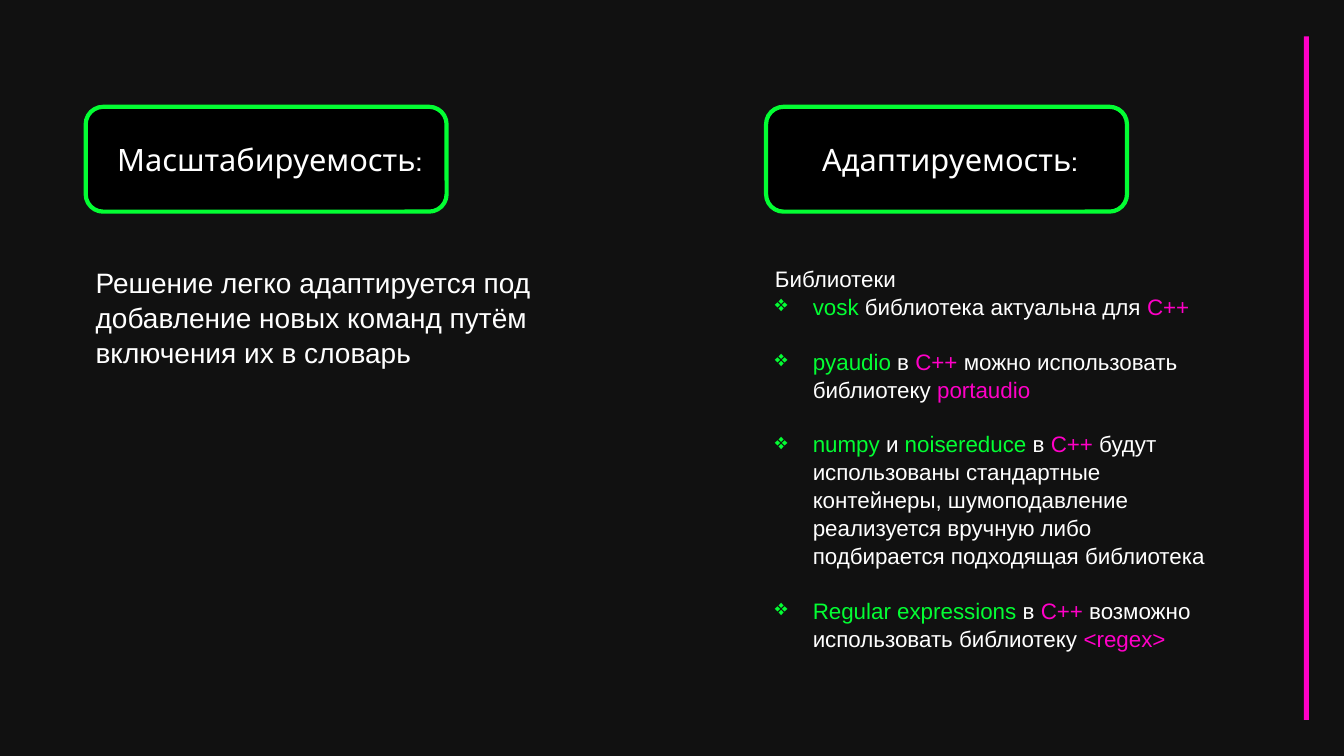
from lxml import etree
from pptx import Presentation
from pptx.dml.color import RGBColor
from pptx.enum.shapes import MSO_SHAPE
from pptx.enum.text import MSO_ANCHOR, PP_ALIGN
from pptx.oxml.ns import qn
from pptx.util import Pt

ROUNDED = MSO_SHAPE.ROUNDED_RECTANGLE
RECTANGLE = MSO_SHAPE.RECTANGLE
MIDDLE = MSO_ANCHOR.MIDDLE
CENTER = PP_ALIGN.CENTER

DARK, BLACK, WHITE = "111111", "000000", "FFFFFF"
GREEN, PINK = "03FE33", "FF00C7"
LINE_SPACING = 1.04
BULLET_INDENT = 27

LIBRARIES = [
    [("vosk ", GREEN), ("библиотека актуальна для ", WHITE), ("C++", PINK)],
    [("pyaudio", GREEN), (" в ", WHITE), ("C++ ", PINK),
     ("можно использовать библиотеку ", WHITE), ("portaudio", PINK)],
    [("numpy ", GREEN), ("и ", WHITE), ("noisereduce ", GREEN),
     ("в ", WHITE), ("C++ ", PINK),
     ("будут использованы стандартные контейнеры, шумоподавление "
      "реализуется вручную либо подбирается подходящая библиотека", WHITE)],
    [("Regular expressions ", GREEN), ("в ", WHITE), ("C++ ", PINK),
     ("возможно использовать библиотеку ", WHITE), ("<regex>", PINK)],
]


def paint(color_format, color):
    color_format.rgb = RGBColor.from_string(color)


def style_run(run, size, color=WHITE, font="Arial"):
    run.font.size = Pt(size)
    run.font.name = font
    paint(run.font.color, color)


def add_block(slide, preset, left, top, width, height, color):
    block = slide.shapes.add_shape(
        preset, Pt(left), Pt(top), Pt(width), Pt(height))
    block.shadow.inherit = False
    block.fill.solid()
    paint(block.fill.fore_color, color)
    return block


def add_heading(slide, left, text):
    heading = add_block(slide, ROUNDED, left, 76.3, 257.8, 74.9, BLACK)
    paint(heading.line.color, GREEN)
    heading.line.width = Pt(3)
    frame = heading.text_frame
    frame.vertical_anchor = MIDDLE
    frame.text = text
    frame.paragraphs[0].alignment = CENTER
    style_run(frame.paragraphs[0].runs[0], 22, font="Cabin")


def add_body(slide, left, width, height, text, size):
    body = slide.shapes.add_textbox(Pt(left), Pt(185), Pt(width), Pt(height))
    frame = body.text_frame
    frame.word_wrap = True
    frame.text = text
    frame.paragraphs[0].line_spacing = LINE_SPACING
    style_run(frame.paragraphs[0].runs[0], size)
    return frame


def add_bullet(frame, pieces, size, space_before):
    paragraph = frame.add_paragraph()
    paragraph.line_spacing = LINE_SPACING
    paragraph.space_before = Pt(space_before)
    for text, color in pieces:
        run = paragraph.add_run()
        run.text = text
        style_run(run, size, color)
    # Hanging diamond bullet in the colour of the first run
    properties = paragraph._p.get_or_add_pPr()
    properties.set("marL", str(Pt(BULLET_INDENT)))
    properties.set("indent", str(-Pt(BULLET_INDENT)))
    etree.SubElement(properties, qn("a:buChar")).set("char", "❖")


def main():
    deck = Presentation()
    deck.slide_width, deck.slide_height = Pt(960), Pt(540)
    slide = deck.slides.add_slide(deck.slide_layouts[6])
    slide.background.fill.solid()
    paint(slide.background.fill.fore_color, DARK)

    # Scalability
    add_heading(slide, 61.2, " Масштабируемость:")
    add_body(slide, 61.2, 350, 104.4,
             "Решение легко адаптируется под добавление новых команд "
             "путём включения их в словарь", 20)

    # Adaptability
    add_heading(slide, 547.2, " Адаптируемость:")
    libraries = add_body(slide, 546.5, 335.5, 298, "Библиотеки", 16)
    for index, pieces in enumerate(LIBRARIES):
        add_bullet(libraries, pieces, 16, 19.2 if index else 0)

    # Accent bar on the right edge
    accent = add_block(slide, RECTANGLE, 931.3, 26, 3.6, 488.2, PINK)
    accent.line.fill.background()

    deck.save("out.pptx")


if __name__ == "__main__":
    main()
